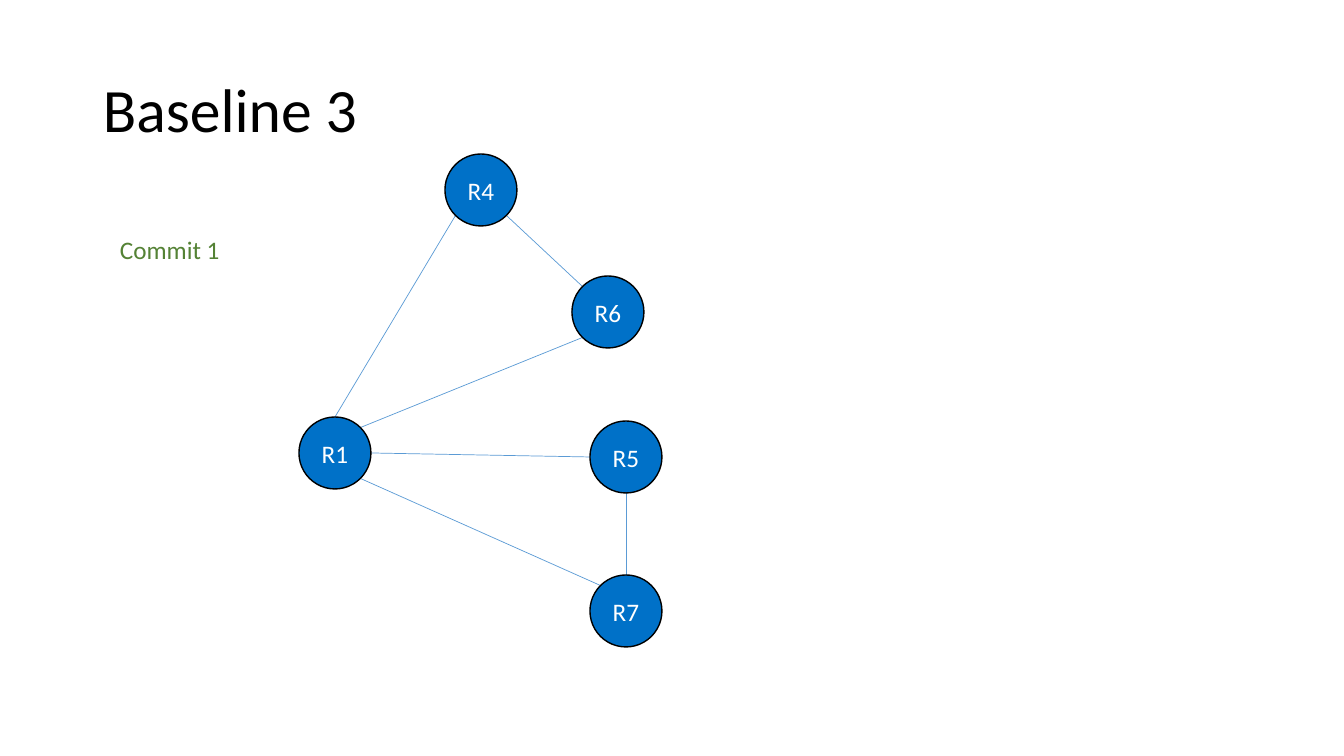
import math

import pptx
import pptx.dml.color
import pptx.enum.shapes
import pptx.enum.text
import pptx.oxml.ns
import pptx.util
from lxml import etree

RGBColor = pptx.dml.color.RGBColor
BLACK = RGBColor(0x00, 0x00, 0x00)
WHITE = RGBColor(0xFF, 0xFF, 0xFF)
NODE_BLUE = RGBColor(0x00, 0x71, 0xC8)
EDGE_BLUE = RGBColor(0x5B, 0x9B, 0xD5)
GREEN = RGBColor(0x54, 0x82, 0x35)

FONT = "Calibri"
EMU_PER_PX = 914400 / 100.8
NODE_SIZE = 72

# Left and top of each node
NODES = {
    "R4": (445, 154),
    "R1": (299, 417),
    "R5": (590, 421),
    "R6": (572, 276),
    "R7": (590, 575),
}

# Start node and angle, end node and angle (degrees clockwise from right)
EDGES = [
    ("R4", 45, "R6", 225),
    ("R1", 270, "R4", 135),
    ("R1", 0, "R5", 180),
    ("R6", 135, "R1", 315),
    ("R5", 90, "R7", 270),
    ("R1", 45, "R7", 225),
]


def px(n):
    return pptx.util.Emu(round(n * EMU_PER_PX))


def set_text(tf, text, size, color):
    tf.text = text
    tf.vertical_anchor = pptx.enum.text.MSO_ANCHOR.MIDDLE
    p = tf.paragraphs[0]
    f = p.runs[0].font
    f.name = FONT
    f.size = pptx.util.Pt(size)
    f.color.rgb = color
    return p


def add_label(s, box, text, size, color, wrap):
    sp = s.shapes.add_textbox(*map(px, box))
    sp.text_frame.word_wrap = wrap
    return set_text(sp.text_frame, text, size, color)


def add_node(s, name):
    left, top = NODES[name]
    sp = s.shapes.add_shape(pptx.enum.shapes.MSO_SHAPE.OVAL,
                            px(left), px(top), px(NODE_SIZE), px(NODE_SIZE))
    sp.shadow.inherit = False
    sp.fill.solid()
    sp.fill.fore_color.rgb = NODE_BLUE
    sp.line.color.rgb = BLACK
    sp.line.width = pptx.util.Pt(1)
    sp.text_frame.word_wrap = False
    p = set_text(sp.text_frame, name, 18, WHITE)
    p.alignment = pptx.enum.text.PP_ALIGN.CENTER


def rim_point(name, angle):
    r = NODE_SIZE / 2
    a = math.radians(angle)
    left, top = NODES[name]
    return px(left + r + r * math.cos(a)), px(top + r + r * math.sin(a))


def add_edge(s, start, start_angle, end, end_angle):
    c = s.shapes.add_connector(pptx.enum.shapes.MSO_CONNECTOR.STRAIGHT,
                               *rim_point(start, start_angle),
                               *rim_point(end, end_angle))
    c.line.color.rgb = EDGE_BLUE
    c.line.width = pptx.util.Pt(0.5)
    sp_pr = c.element.find(pptx.oxml.ns.qn("p:spPr"))
    etree.SubElement(sp_pr, pptx.oxml.ns.qn("a:effectLst"))


def main():
    prs = pptx.Presentation()
    prs.slide_width = px(1344)
    prs.slide_height = px(756)
    s = prs.slides.add_slide(prs.slide_layouts[6])

    # Title
    p = add_label(s, (93, 40, 1159, 146), "Baseline 3", 44, BLACK, True)
    p.line_spacing = 0.9

    # Graph
    for edge in EDGES:
        add_edge(s, *edge)
    for name in NODES:
        add_node(s, name)

    # Commit label
    add_label(s, (110, 229, 121, 40), "Commit 1", 18, GREEN, False)

    prs.save("out.pptx")


if __name__ == "__main__":
    main()
